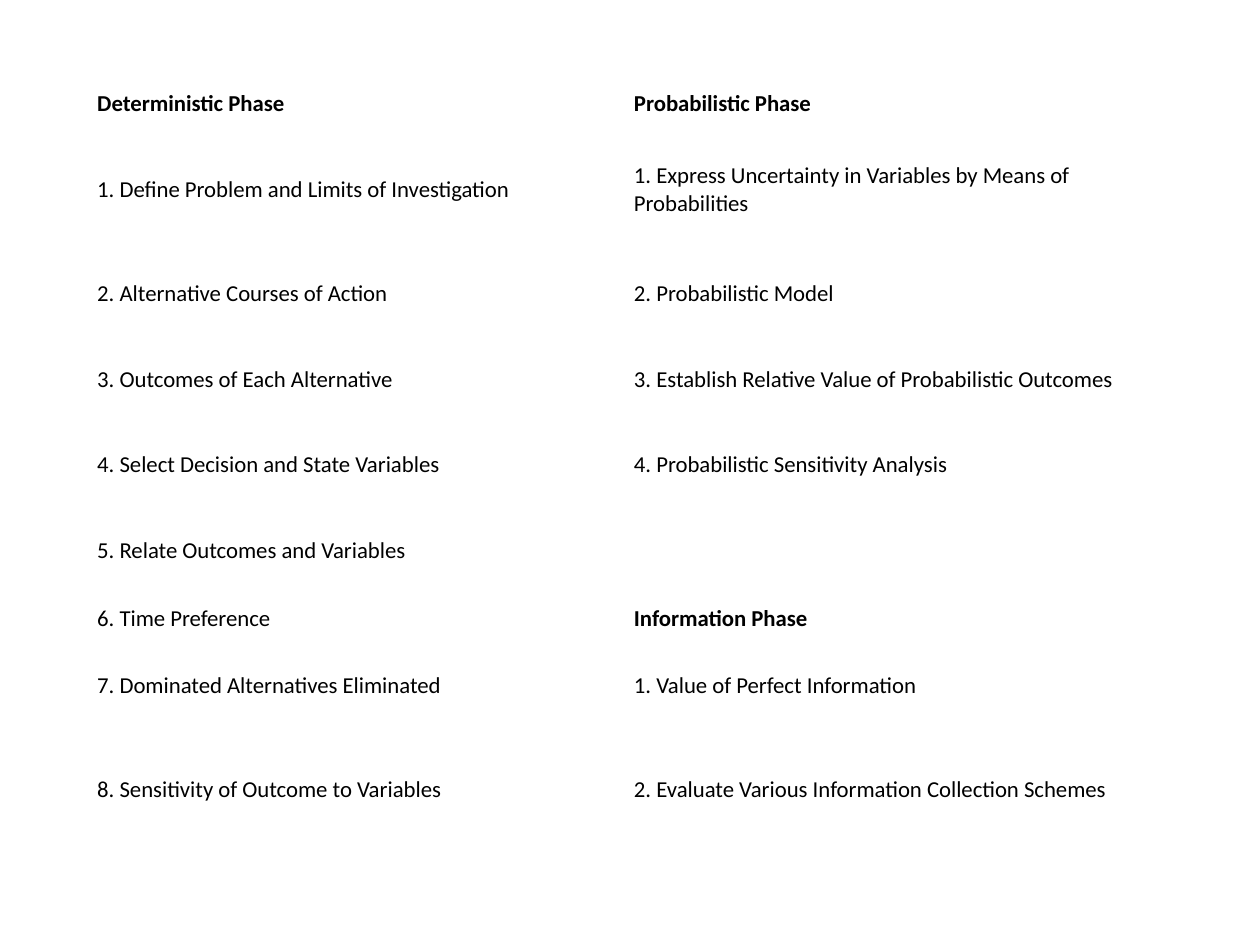
from dataclasses import dataclass

from pptx import Presentation
from pptx.dml.color import RGBColor
from pptx.enum.text import MSO_ANCHOR
from pptx.util import Cm, Pt

BLACK = RGBColor(0x00, 0x00, 0x00)
FONT = "Calibri"

LEFT, TOP = Cm(1.78), Cm(1.6)
PHASE_WIDTH = Cm(10.82)
SHORT, MEDIUM, TALL = Cm(0.99), Cm(1.73), Cm(2.46)
ROW_HEIGHTS = [SHORT, TALL, *[MEDIUM] * 4, SHORT, MEDIUM, TALL]


@dataclass(frozen=True)
class Phase:
    title: str
    steps: tuple[str, ...]
    column: int
    first_row: int


PHASES = (
    Phase("Deterministic Phase", (
        "Define Problem and Limits of Investigation",
        "Alternative Courses of Action",
        "Outcomes of Each Alternative",
        "Select Decision and State Variables",
        "Relate Outcomes and Variables",
        "Time Preference",
        "Dominated Alternatives Eliminated",
        "Sensitivity of Outcome to Variables",
    ), column=0, first_row=0),
    Phase("Probabilistic Phase", (
        "Express Uncertainty in Variables by Means of Probabilities",
        "Probabilistic Model",
        "Establish Relative Value of Probabilistic Outcomes",
        "Probabilistic Sensitivity Analysis",
    ), column=1, first_row=0),
    Phase("Information Phase", (
        "Value of Perfect Information",
        "Evaluate Various Information Collection Schemes",
    ), column=1, first_row=6),
)


def write_text(cell, text: str, *, bold: bool = False, size: float = 13,
               color: RGBColor = BLACK) -> None:
    run = cell.text_frame.paragraphs[0].add_run()
    run.text = text
    run.font.name = FONT
    run.font.size = Pt(size)
    run.font.bold = bold
    run.font.color.rgb = color


def add_plain_table(slide):
    """Add the two-column grid without banding or fills."""
    table = slide.shapes.add_table(
        len(ROW_HEIGHTS), 2, LEFT, TOP, 2 * PHASE_WIDTH, sum(ROW_HEIGHTS)
    ).table
    table.first_row = table.horz_banding = False
    for column in table.columns:
        column.width = PHASE_WIDTH
    for row, height in zip(table.rows, ROW_HEIGHTS):
        row.height = height
    for cell in table.iter_cells():
        cell.fill.background()
        cell.vertical_anchor = MSO_ANCHOR.MIDDLE
        cell.margin_left = cell.margin_right = Cm(0.18)
        cell.margin_top = cell.margin_bottom = Cm(0.13)
    return table


def write_phase(table, phase: Phase) -> None:
    write_text(table.cell(phase.first_row, phase.column), phase.title, bold=True)
    for number, step in enumerate(phase.steps, start=1):
        cell = table.cell(phase.first_row + number, phase.column)
        write_text(cell, f"{number}. {step}")


def main() -> None:
    presentation = Presentation()
    presentation.slide_width, presentation.slide_height = Cm(25.4), Cm(19.05)
    slide = presentation.slides.add_slide(presentation.slide_layouts[6])
    table = add_plain_table(slide)
    for phase in PHASES:
        write_phase(table, phase)
    presentation.save("out.pptx")


if __name__ == "__main__":
    main()
